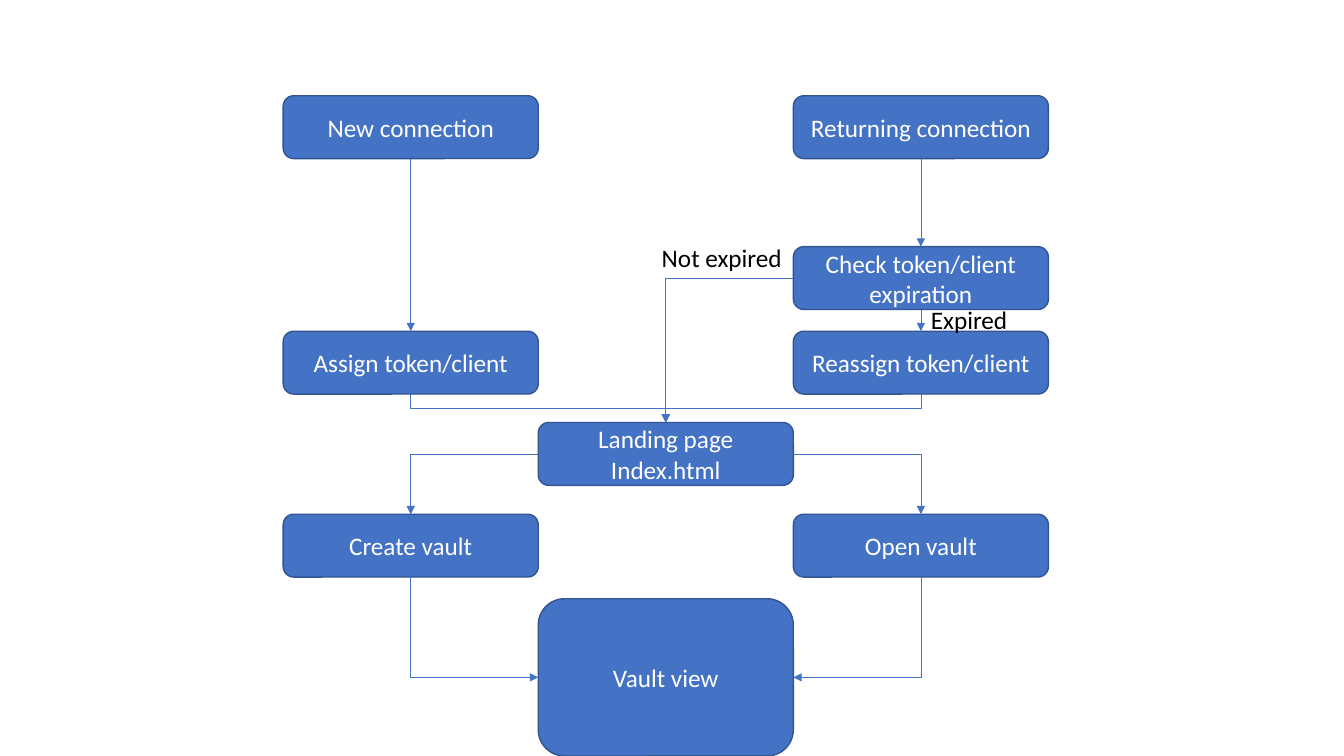
"""Build a flowchart of how a client connection reaches its vault."""
from lxml import etree
from pptx import Presentation
from pptx.dml.color import RGBColor
from pptx.enum.shapes import MSO_CONNECTOR, MSO_SHAPE
from pptx.enum.text import MSO_ANCHOR, MSO_AUTO_SIZE, PP_ALIGN
from pptx.oxml.ns import qn
from pptx.util import Pt

BLUE = RGBColor(0x44, 0x72, 0xC4)
DARK_BLUE = RGBColor(0x32, 0x54, 0x91)
WHITE = RGBColor(0xFF, 0xFF, 0xFF)
BLACK = RGBColor(0x00, 0x00, 0x00)

ROUNDED = MSO_SHAPE.ROUNDED_RECTANGLE
STRAIGHT, ELBOW = MSO_CONNECTOR.STRAIGHT, MSO_CONNECTOR.ELBOW
CENTER, LEFT_ALIGN = PP_ALIGN.CENTER, PP_ALIGN.LEFT
MIDDLE = MSO_ANCHOR.MIDDLE
FIT_SHAPE = MSO_AUTO_SIZE.SHAPE_TO_FIT_TEXT

TOP, LEFT, BOTTOM, RIGHT = range(4)
FIRST_COLUMN, STEP_WIDTH, STEP_HEIGHT = 202.3, 182.2, 44.9

ORIENTATIONS = {
    LEFT: {"rot": "10800000", "flipV": "1"},
    RIGHT: {},
    (BOTTOM, LEFT): {"rot": "5400000"},
    (BOTTOM, RIGHT): {"rot": "16200000", "flipH": "1"},
}


def write_text(frame, text, size=18, color=WHITE, align=CENTER):
    """Fill a text frame with one paragraph per line."""
    frame.text = text
    for paragraph in frame.paragraphs:
        paragraph.alignment = align
        font = paragraph.font
        font.name, font.size = "Calibri", Pt(size)
        font.color.rgb = color


def add_step(slide, text, column, top, height=STEP_HEIGHT):
    """Add a rounded step box in a column of the flow."""
    left = FIRST_COLUMN + column * STEP_WIDTH
    step = slide.shapes.add_shape(ROUNDED, Pt(left), Pt(top), Pt(STEP_WIDTH), Pt(height))
    step.shadow.inherit = False
    step.fill.solid()
    step.fill.fore_color.rgb = BLUE
    step.line.color.rgb = DARK_BLUE
    step.line.width = Pt(1)
    step.text_frame.vertical_anchor = MIDDLE
    step.text_frame.word_wrap = True
    write_text(step.text_frame, text)
    return step


def add_label(slide, text, left, top, width):
    """Add a condition label beside an arrow."""
    label = slide.shapes.add_textbox(Pt(left), Pt(top), Pt(width), Pt(29))
    label.text_frame.word_wrap = False
    label.text_frame.auto_size = FIT_SHAPE
    write_text(label.text_frame, text, color=BLACK, align=LEFT_ALIGN)


def add_arrow(slide, source, source_side, target, target_side, kind=STRAIGHT):
    """Join two steps with an arrow pointing at the target."""
    arrow = slide.shapes.add_connector(kind, 0, 0, 0, 0)
    arrow.begin_connect(source, source_side)
    arrow.end_connect(target, target_side)
    arrow.line.color.rgb = BLUE
    arrow.line.width = Pt(0.5)
    etree.SubElement(arrow.line._get_or_add_ln(), qn("a:tailEnd"), type="triangle")
    etree.SubElement(arrow._element.spPr, qn("a:effectLst"))
    return arrow


def add_elbow(slide, source, source_side, target, target_side):
    """Join two steps with an arrow that leaves the source squarely."""
    arrow = add_arrow(slide, source, source_side, target, target_side, ELBOW)
    middle_x = (arrow.begin_x + arrow.end_x) // 2
    middle_y = (arrow.begin_y + arrow.end_y) // 2
    width = abs(arrow.end_x - arrow.begin_x)
    height = abs(arrow.end_y - arrow.begin_y)
    turn = source_side
    if source_side == BOTTOM:
        turn = (BOTTOM, RIGHT if arrow.end_x > arrow.begin_x else LEFT)
        width, height = height, width
    properties = arrow._element.spPr
    frame = properties.find(qn("a:xfrm"))
    frame.attrib.clear()
    frame.attrib.update(ORIENTATIONS[turn])
    arrow.left, arrow.top = middle_x - width // 2, middle_y - height // 2
    arrow.width, arrow.height = width, height
    if (source_side, target_side) != (BOTTOM, TOP):
        properties.find(qn("a:prstGeom")).set("prst", "bentConnector2")


def main():
    """Build and save the slide."""
    deck = Presentation()
    deck.slide_width, deck.slide_height = Pt(960), Pt(540)
    slide = deck.slides.add_slide(deck.slide_layouts[6])

    new = add_step(slide, "New connection", 0, 68.4)
    returning = add_step(slide, "Returning connection", 2, 68.4)
    check = add_step(slide, "Check token/client expiration", 2, 176.2)
    assign = add_step(slide, "Assign token/client", 0, 236.6)
    reassign = add_step(slide, "Reassign token/client", 2, 236.6)
    landing = add_step(slide, "Landing page\nIndex.html", 1, 301.8)
    create = add_step(slide, "Create vault", 0, 367.3)
    opening = add_step(slide, "Open vault", 2, 367.3)
    vault = add_step(slide, "Vault view", 1, 427.7, height=112.3)

    for source, target in ((new, assign), (returning, check), (check, reassign)):
        add_arrow(slide, source, BOTTOM, target, TOP)

    for elbow in (
        (assign, BOTTOM, landing, TOP),
        (reassign, BOTTOM, landing, TOP),
        (check, LEFT, landing, TOP),
        (landing, LEFT, create, TOP),
        (landing, RIGHT, opening, TOP),
        (create, BOTTOM, vault, LEFT),
        (opening, BOTTOM, vault, RIGHT),
    ):
        add_elbow(slide, *elbow)

    add_label(slide, "Not expired", 465.6, 169.5, 101.5)
    add_label(slide, "Expired", 657.8, 214, 70)

    deck.save("out.pptx")


if __name__ == "__main__":
    main()
